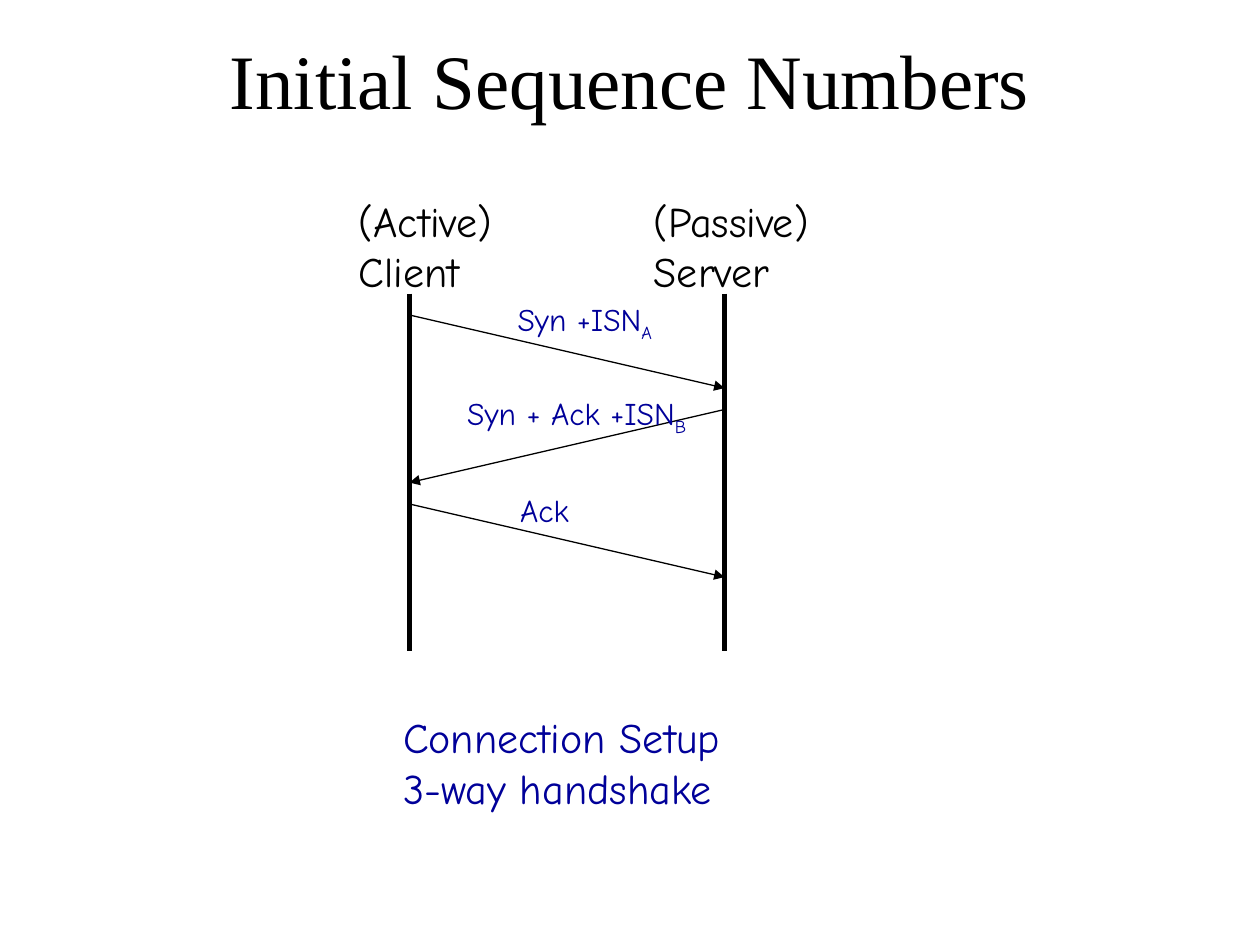
from lxml.etree import SubElement
from pptx import Presentation
from pptx.dml.color import RGBColor
from pptx.enum.shapes import MSO_CONNECTOR
from pptx.enum.text import MSO_ANCHOR, MSO_AUTO_SIZE, PP_ALIGN
from pptx.oxml.ns import qn
from pptx.util import Inches, Pt

BLACK = RGBColor(0x00, 0x00, 0x00)
NAVY = RGBColor(0x00, 0x00, 0x99)

CLIENT_X, SERVER_X = 3.25, 5.75
LIFELINE_TOP, LIFELINE_BOTTOM = 2.33, 5.17
FIRST_SEND, MESSAGE_STEP, TRAVEL = 2.5, 0.75, 0.58


class HandshakeSlide:
    title_font = "Times New Roman"
    label_font = "Comic Neue"

    def __init__(self, slide):
        self.slide = slide

    def add_run(self, paragraph, text, font, size, color, subscript=False):
        run = paragraph.add_run()
        run.text = text
        run.font.name = font
        run.font.size = Pt(size)
        run.font.color.rgb = color
        if subscript:
            run.font._element.set("baseline", "-25000")

    def text_frame(self, left, top, width, height):
        box = self.slide.shapes.add_textbox(
            Inches(left), Inches(top), Inches(width), Inches(height))
        return box.text_frame

    def title(self, text):
        frame = self.text_frame(0.75, 0, 8.5, 1.25)
        frame.word_wrap = True
        frame.vertical_anchor = MSO_ANCHOR.MIDDLE
        heading = frame.paragraphs[0]
        heading.alignment = PP_ALIGN.CENTER
        self.add_run(heading, text, self.title_font, 44, BLACK)

    def label(self, lines, left, top, width, height, size, color):
        """Each line is a (text, subscript) pair; the subscript may be empty."""
        frame = self.text_frame(left, top, width, height)
        frame.word_wrap = False
        frame.auto_size = MSO_AUTO_SIZE.SHAPE_TO_FIT_TEXT
        for index, (text, subscript) in enumerate(lines):
            paragraph = frame.add_paragraph() if index else frame.paragraphs[0]
            self.add_run(paragraph, text, self.label_font, size, color)
            if subscript:
                self.add_run(paragraph, subscript, self.label_font, size,
                             color, subscript=True)

    def line(self, start, end, weight, arrow=False):
        connector = self.slide.shapes.add_connector(
            MSO_CONNECTOR.STRAIGHT, *map(Inches, start + end))
        connector.line.color.rgb = BLACK
        connector.line.width = Pt(weight)
        if arrow:
            SubElement(connector.line._get_or_add_ln(), qn("a:tailEnd"),
                       type="triangle")
        SubElement(connector._element.spPr, qn("a:effectLst"))


def main():
    presentation = Presentation()
    presentation.slide_width = Inches(10)
    presentation.slide_height = Inches(7.5)
    page = HandshakeSlide(
        presentation.slides.add_slide(presentation.slide_layouts[6]))

    page.title("Initial Sequence Numbers")

    for lifeline_x in (CLIENT_X, SERVER_X):
        page.line((lifeline_x, LIFELINE_TOP), (lifeline_x, LIFELINE_BOTTOM), 3)

    routes = [(CLIENT_X, SERVER_X), (SERVER_X, CLIENT_X), (CLIENT_X, SERVER_X)]
    for index, (sender, receiver) in enumerate(routes):
        sent = FIRST_SEND + index * MESSAGE_STEP
        page.line((sender, sent), (receiver, sent + TRAVEL), 0.75, arrow=True)

    captions = [
        ("Connection Setup", "3-way handshake", 3.1, 5.6, 2.75, NAVY),
        ("(Active)", "Client", 2.75, 1.5, 1.3, BLACK),
        ("(Passive)", "Server", 5.09, 1.5, 1.49, BLACK),
    ]
    for upper, lower, left, top, width, color in captions:
        page.label([(upper, ""), (lower, "")], left, top, width, 0.9, 24, color)

    messages = [
        ("Syn +ISN", "A", 4.01, 2.33, 1.3, 0.44),
        ("Syn + Ack +ISN", "B", 3.61, 3.08, 1.98, 0.44),
        ("Ack", "", 4.03, 3.85, 0.62, 0.4),
    ]
    for text, subscript, *place in messages:
        page.label([(text, subscript)], *place, 18, NAVY)

    presentation.save("out.pptx")


if __name__ == "__main__":
    main()
